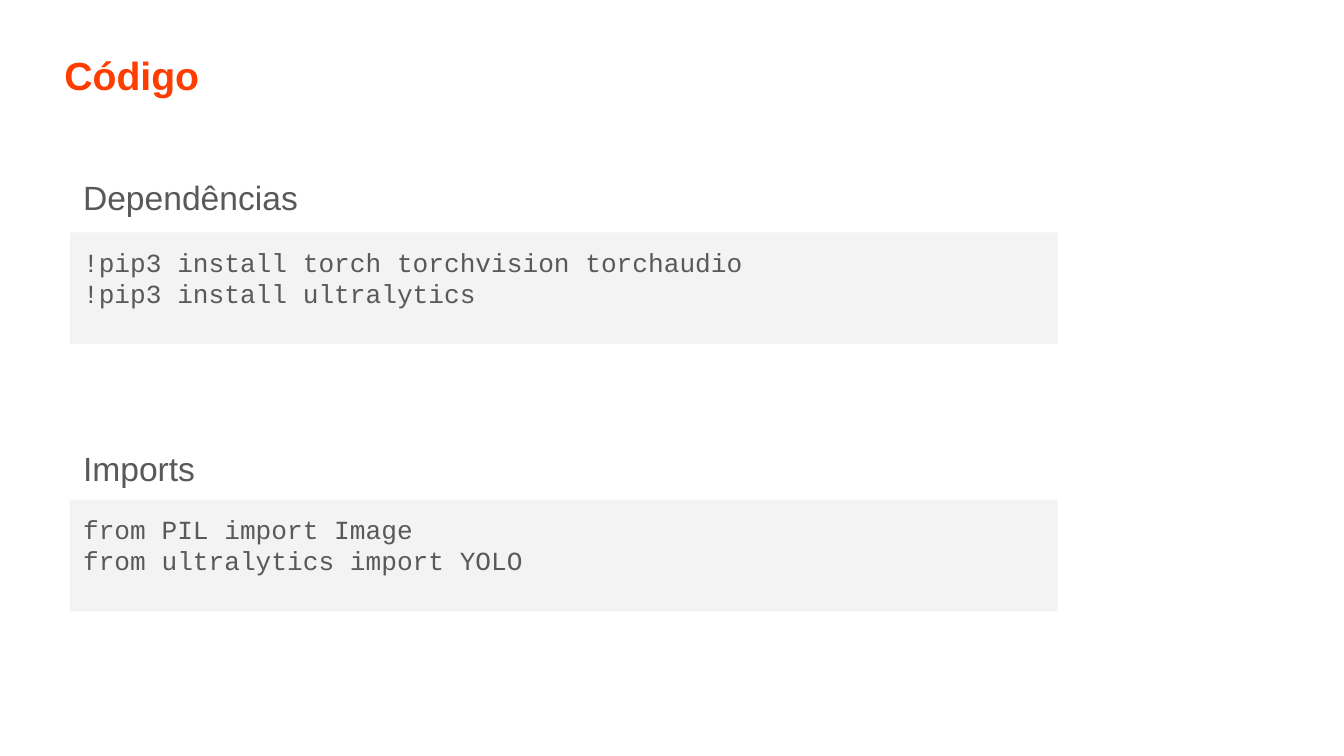
from dataclasses import dataclass

from pptx import Presentation
from pptx.dml.color import RGBColor
from pptx.enum.shapes import MSO_SHAPE
from pptx.enum.text import MSO_ANCHOR, PP_ALIGN
from pptx.util import Inches, Pt

RECTANGLE = MSO_SHAPE.RECTANGLE
TOP = MSO_ANCHOR.TOP
LEFT = PP_ALIGN.LEFT


@dataclass(frozen=True)
class Theme:
    accent: RGBColor = RGBColor.from_string("FF3D00")
    ink: RGBColor = RGBColor.from_string("595959")
    panel: RGBColor = RGBColor.from_string("F3F3F3")
    title_size: Pt = Pt(21)
    heading_size: Pt = Pt(18)
    code_size: Pt = Pt(14)
    text_font: str = "Arial"
    code_font: str = "Courier New"


theme = Theme()
TITLE = {"name": theme.text_font, "size": theme.title_size, "bold": True}
HEADING = {"name": theme.text_font, "size": theme.heading_size}
CODE = {"name": theme.code_font, "size": theme.code_size}


def write_lines(shape, lines, font_format, color):
    """Fill a shape with one left-aligned paragraph per line."""
    frame = shape.text_frame
    frame_format = {"word_wrap": True, "vertical_anchor": TOP}
    for side in ("left", "right", "top", "bottom"):
        frame_format[f"margin_{side}"] = Inches(0.1)
    for name, value in frame_format.items():
        setattr(frame, name, value)
    for index, line in enumerate(lines):
        paragraph = frame.add_paragraph() if index else frame.paragraphs[0]
        paragraph.alignment = LEFT
        span = paragraph.add_run()
        span.text = line
        for name, value in font_format.items():
            setattr(span.font, name, value)
        span.font.color.rgb = color


deck = Presentation()
deck.slide_width = Inches(10)
deck.slide_height = Inches(10 * 9 / 16)  # widescreen, 16:9
page = deck.slides.add_slide(deck.slide_layouts[6])

title = page.shapes.add_textbox(Inches(0.38), Inches(0.28), Inches(9.22), Inches(0.55))
write_lines(title, ["Código"], TITLE, theme.accent)

sections = [
    ("Dependências", 1.22, 1.73,
     ["!pip3 install torch torchvision torchaudio", "!pip3 install ultralytics"]),
    ("Imports", 3.23, 3.72,
     ["from PIL import Image", "from ultralytics import YOLO"]),
]
section_left = Inches(0.52)
for heading_text, heading_top, panel_top, code_lines in sections:
    panel = page.shapes.add_shape(
        RECTANGLE, section_left, Inches(panel_top), Inches(7.35), Inches(0.83))
    panel.shadow.inherit = False
    panel.fill.solid()
    panel.fill.fore_color.rgb = theme.panel
    panel.line.fill.background()
    write_lines(panel, code_lines, CODE, theme.ink)

    heading = page.shapes.add_textbox(
        section_left, Inches(heading_top), Inches(4.14), Inches(0.43))
    write_lines(heading, [heading_text], HEADING, theme.ink)

deck.save("out.pptx")
